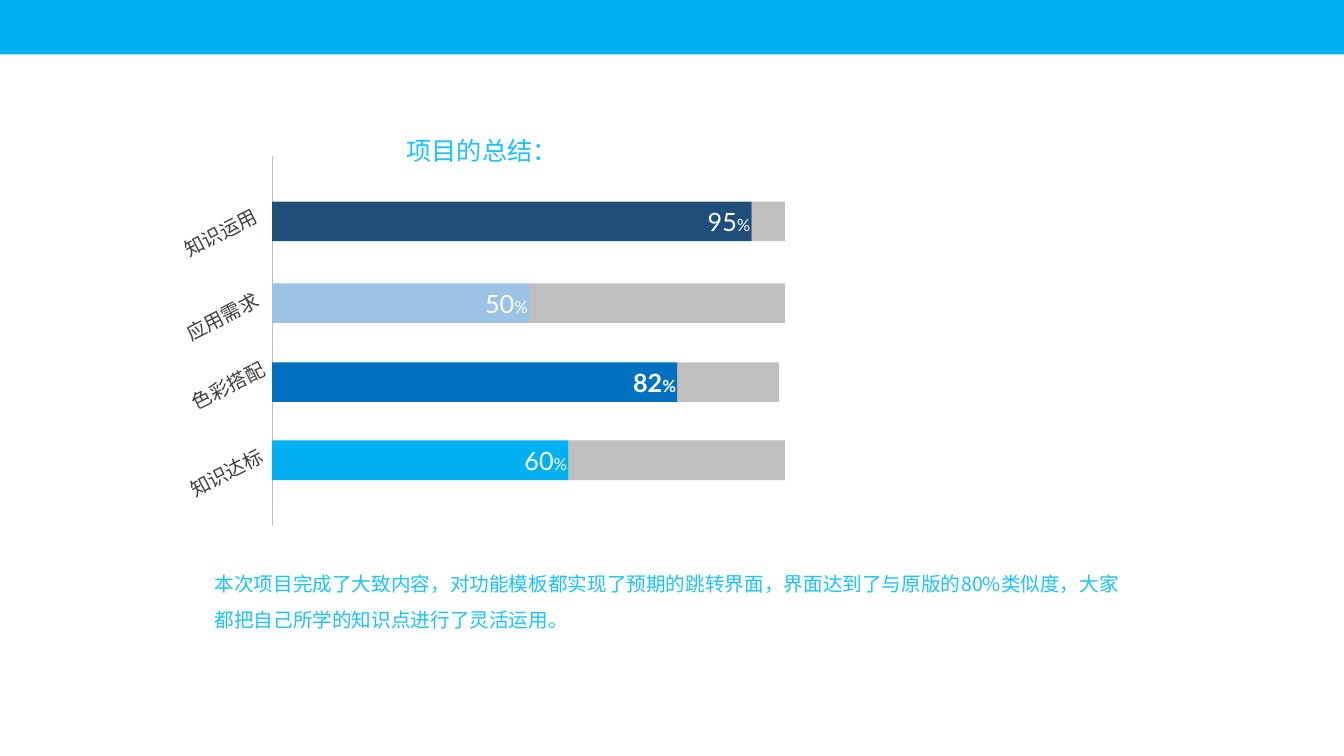
from lxml.etree import SubElement
from pptx import Presentation
from pptx.dml.color import RGBColor
from pptx.enum.shapes import MSO_CONNECTOR, MSO_SHAPE
from pptx.enum.text import MSO_AUTO_SIZE
from pptx.oxml.ns import qn
from pptx.util import Cm, Pt

COLORS = {
    "header": "00B0F0",
    "accent_text": "19C3FF",
    "label": "3F3F3F",
    "axis": "BFBFBF",
    "track": "BFBFBF",
    "value": "FFFFFF",
    "navy": "1E4E79",
    "pale": "9CC2E5",
    "blue": "0070C0",
    "sky": "00B0F0",
}
CHINESE_FONT = "Noto Sans CJK SC"

presentation = Presentation()
presentation.slide_width = Cm(33.88)
presentation.slide_height = Cm(19.05)
slide = presentation.slides.add_slide(presentation.slide_layouts[6])


def add_rectangle(left, top, width, height, color):
    shape = slide.shapes.add_shape(
        MSO_SHAPE.RECTANGLE, Cm(left), Cm(top), Cm(width), Cm(height))
    shape.shadow.inherit = False
    shape.fill.solid()
    shape.fill.fore_color.rgb = RGBColor.from_string(COLORS[color])
    shape.line.fill.background()


def add_text(text, left, top, width, height, size, color, font=CHINESE_FONT,
             bold=False, suffix="", wrap=False, spacing=1.0, rotation=0):
    box = slide.shapes.add_textbox(Cm(left), Cm(top), Cm(width), Cm(height))
    box.rotation = rotation
    box.text_frame.word_wrap = wrap
    box.text_frame.auto_size = MSO_AUTO_SIZE.SHAPE_TO_FIT_TEXT
    paragraph = box.text_frame.paragraphs[0]
    paragraph.line_spacing = spacing
    for content, points in ((text, size), (suffix, 12)):
        if content:
            run = paragraph.add_run()
            run.text = content
            run.font.size = Pt(points)
            run.font.bold = bold
            run.font.name = font
            run.font.color.rgb = RGBColor.from_string(COLORS[color])
            east_asian = SubElement(run.font._element, qn("a:ea"))
            east_asian.set("typeface", font)


add_rectangle(0, 0, 33.88, 1.37, "header")
add_text("本次项目完成了大致内容，对功能模板都实现了预期的跳转界面，"
         "界面达到了与原版的80%类似度，大家都把自己所学的知识点进行了灵活运用。",
         5.16, 14, 23.52, 2.03, 14, "accent_text", wrap=True, spacing=1.5)

axis_left = 6.86
axis = slide.shapes.add_connector(
    MSO_CONNECTOR.STRAIGHT, Cm(axis_left), Cm(3.94), Cm(axis_left), Cm(13.26))
axis.line.color.rgb = RGBColor.from_string(COLORS["axis"])
axis.line.width = Pt(0.5)
SubElement(axis._element.spPr, qn("a:effectLst"))

bar_height = 1
bars = [
    ("知识运用", "95", "navy", 5.08, 12.09, 19.79, 4.32, 5.44),
    ("应用需求", "50", "pale", 7.14, 6.48, 19.79, 4.37, 7.54),
    ("色彩搭配", "82", "blue", 9.13, 10.21, 19.64, 4.52, 9.3),
    ("知识达标", "60", "sky", 11.1, 7.47, 19.79, 4.47, 11.48),
]
for name, value, color, top, width, track_right, label_left, label_top in bars:
    bar_right = axis_left + width
    add_rectangle(bar_right, top, track_right - bar_right, bar_height, "track")
    add_rectangle(axis_left, top, width, bar_height, color)
    add_text(value, bar_right - 1.36, top, 1.6, 1.02, 18, "value",
             font="Lato", bold=value == "82", suffix="%")
    add_text(name, label_left, label_top, 2.49, 0.86, 14, "label",
             rotation=332.7)

add_text("项目的总结：", 10, 3.28, 4.32, 1.02, 18, "accent_text")

presentation.save("out.pptx")
